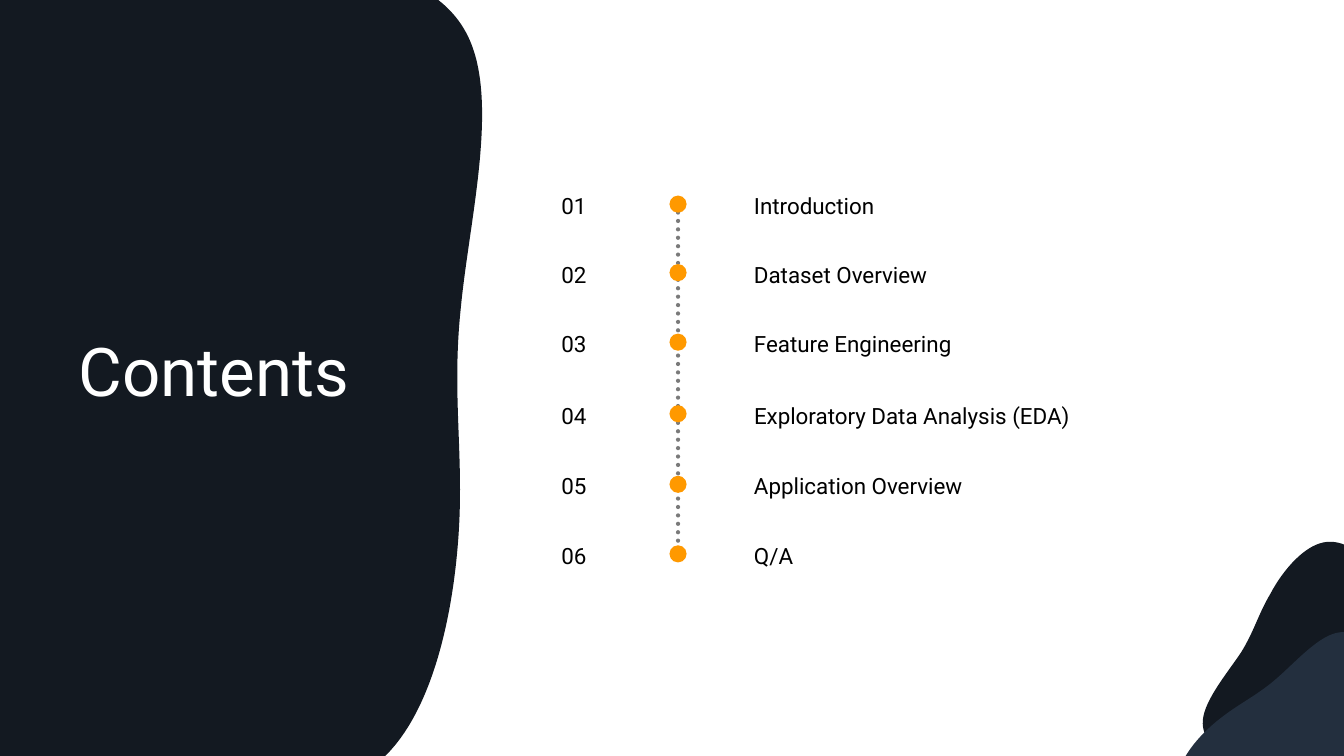
import math

from lxml import etree
from pptx import Presentation
from pptx.dml.color import RGBColor
from pptx.enum import dml, shapes, text
from pptx.oxml import ns
from pptx.util import Inches, Pt

NAVY = RGBColor(0x13, 0x19, 0x21)
SLATE = RGBColor(0x23, 0x2F, 0x3E)
ORANGE = RGBColor(0xFF, 0x99, 0x00)
GRAY = RGBColor(0x59, 0x59, 0x59)
WHITE = RGBColor(0xFF, 0xFF, 0xFF)
BLACK = RGBColor(0, 0, 0)
FONT = "Roboto"

# Title, top and width of the text box
TOPICS = [
    ("Introduction", 1.79, 2.57),
    ("Dataset Overview", 2.47, 2.57),
    ("Feature Engineering", 3.16, 3.36),
    ("Exploratory Data Analysis (EDA)", 3.87, 3.55),
    ("Application Overview", 4.57, 2.57),
    ("Q/A", 5.26, 2.57),
]
NUMBER_LEFT, TOPIC_LEFT, ROW_HEIGHT = 5.47, 7.38, 0.42
DOT_LEFT, DOT_SIZE, DOT_DROP = 6.64, 0.17, 0.15

# Colour, frame (left, top, width, height), rotation of the frame, start point on
# the page, then segments: two numbers for a line, six for a curve
BLOBS = [
    (NAVY, (0, -0.36, 4.78, 8.21), 0, (2.91, -0.35), [
        (3.67, -0.37, 4.44, -0.19, 4.68, 0.45),
        (4.93, 1.11, 4.65, 2.22, 4.57, 3.06),
        (4.48, 3.91, 4.6, 4.49, 4.55, 5.28),
        (4.5, 6.07, 4.3, 7.05, 3.8, 7.52),
        (3.37, 7.93, 2.72, 7.94, 2.13, 7.68),
        (1.96, 7.59), (1.96, 7.69), (0, 7.69), (0, -0.15), (1.81, -0.15), (1.82, -0.15),
        (2.16, -0.29, 2.53, -0.35, 2.91, -0.35),
    ]),
    (NAVY, (12.27, 5.35, 1.37, 2.42), 206.4, (11.93, 7.14), [
        (11.95, 6.94, 12.17, 6.68, 12.31, 6.47),
        (12.44, 6.26, 12.48, 6.09, 12.6, 5.89),
        (12.71, 5.68, 12.9, 5.45, 13.09, 5.39),
        (13.28, 5.33, 13.48, 5.45, 13.6, 5.63),
        (13.72, 5.82, 13.76, 6.07, 13.73, 6.33),
        (13.7, 6.58, 13.6, 6.83, 13.46, 7.07),
        (13.31, 7.31, 13.13, 7.53, 12.93, 7.63),
        (12.72, 7.72, 12.5, 7.68, 12.3, 7.59),
        (12.09, 7.49, 11.91, 7.34, 11.93, 7.14),
    ]),
    (SLATE, (12.14, 6.17, 1.37, 2.42), 55.1, (13.25, 6.28), [
        (13.05, 6.33, 12.83, 6.59, 12.64, 6.75),
        (12.45, 6.91, 12.29, 6.98, 12.1, 7.13),
        (11.92, 7.27, 11.72, 7.49, 11.69, 7.68),
        (11.66, 7.88, 11.8, 8.06, 12, 8.15),
        (12.2, 8.24, 12.46, 8.25, 12.71, 8.18),
        (12.95, 8.11, 13.19, 7.98, 13.4, 7.8),
        (13.62, 7.62, 13.81, 7.41, 13.87, 7.19),
        (13.94, 6.98, 13.86, 6.76, 13.74, 6.57),
        (13.62, 6.39, 13.45, 6.23, 13.25, 6.28),
    ]),
]


def paint(shape, color):
    shape.shadow.inherit = False
    shape.fill.solid()
    shape.fill.fore_color.rgb = color
    shape.line.fill.background()


def to_frame(x, y, frame, rotation):
    """Turn a point on the page into one in the unrotated frame, in EMU."""
    left, top, width, height = frame
    dx, dy = x - left - width / 2, y - top - height / 2
    cos, sin = math.cos(math.radians(rotation)), math.sin(math.radians(rotation))
    return Inches(width / 2 + dx * cos + dy * sin), Inches(height / 2 - dx * sin + dy * cos)


def add_blob(page, color, frame, rotation, start, segments):
    """Add a freeform whose six-number segments are true Bezier curves."""
    steps = []
    for segment in [start] + segments:
        pairs = zip(segment[::2], segment[1::2])
        steps.append([to_frame(x, y, frame, rotation) for x, y in pairs])
    builder = page.shapes.build_freeform(*steps[0][0])
    builder.add_line_segments([step[-1] for step in steps[1:]], close=True)
    blob = builder.convert_to_shape()
    blob.left, blob.top, blob.width, blob.height = map(Inches, frame)
    blob.rotation = rotation

    track = blob._element.find(".//" + ns.qn("a:path"))
    track.set("w", str(blob.width))
    track.set("h", str(blob.height))
    for node, step in zip(list(track), steps):
        tag = "a:cubicBezTo" if len(step) == 3 else node.tag
        fresh = etree.Element(ns.qn(tag) if tag != node.tag else tag)
        for x, y in step:
            etree.SubElement(fresh, ns.qn("a:pt"), x=str(x), y=str(y))
        track.replace(node, fresh)
    paint(blob, color)


def add_text(page, words, left, top, width, height, size=16, color=BLACK,
             wrap=True, anchor=text.MSO_ANCHOR.MIDDLE, spacing=1.3):
    box = page.shapes.add_textbox(*map(Inches, (left, top, width, height)))
    frame = box.text_frame
    frame.word_wrap = wrap
    frame.auto_size = text.MSO_AUTO_SIZE.SHAPE_TO_FIT_TEXT
    frame.vertical_anchor = anchor
    para = frame.paragraphs[0]
    para.line_spacing = spacing
    span = para.add_run()
    span.text = words
    span.font.name = FONT
    span.font.size = Pt(size)
    span.font.color.rgb = color


def add_timeline(page, dot_tops):
    group = page.shapes.add_group_shape()
    axis_x = Inches(DOT_LEFT + DOT_SIZE / 2)
    axis = group.shapes.add_connector(
        shapes.MSO_CONNECTOR.STRAIGHT, axis_x, Inches(dot_tops[0] + DOT_SIZE / 2),
        axis_x, Inches(dot_tops[-1] + DOT_SIZE))
    axis.line.color.rgb = GRAY
    axis.line.width = Pt(3)
    axis.line.dash_style = dml.MSO_LINE.ROUND_DOT
    properties = axis._element.spPr
    etree.SubElement(properties, ns.qn("a:effectLst"))
    properties.find(ns.qn("a:ln")).set("cap", "rnd")
    shade = properties.find(".//" + ns.qn("a:srgbClr"))
    etree.SubElement(shade, ns.qn("a:alpha"), val="80000")
    for top in dot_tops:
        dot = group.shapes.add_shape(
            shapes.MSO_SHAPE.OVAL, *map(Inches, (DOT_LEFT, top, DOT_SIZE, DOT_SIZE)))
        paint(dot, ORANGE)


def main():
    deck = Presentation()
    deck.slide_width, deck.slide_height = Inches(13.33), Inches(7.5)
    page = deck.slides.add_slide(deck.slide_layouts[6])
    for blob in BLOBS:
        add_blob(page, *blob)
    add_text(page, "Contents", 0.68, 3.22, 2.95, 0.91, size=48, color=WHITE,
             wrap=False, anchor=text.MSO_ANCHOR.TOP, spacing=1.0)
    add_timeline(page, [top + DOT_DROP for _, top, _ in TOPICS])
    for number, (topic, top, width) in enumerate(TOPICS, 1):
        add_text(page, f"{number:02}", NUMBER_LEFT, top, 0.81, ROW_HEIGHT)
        add_text(page, topic, TOPIC_LEFT, top, width, ROW_HEIGHT)
    deck.save("out.pptx")


if __name__ == "__main__":
    main()
